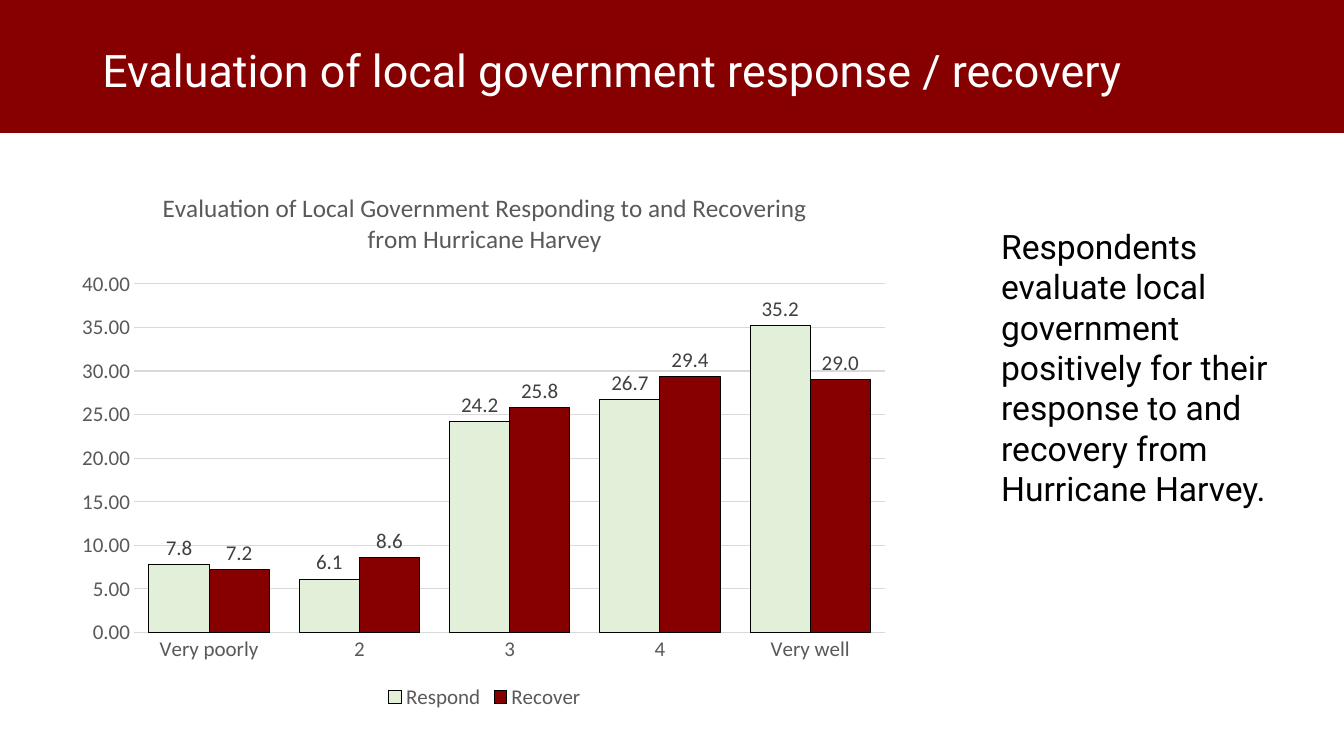
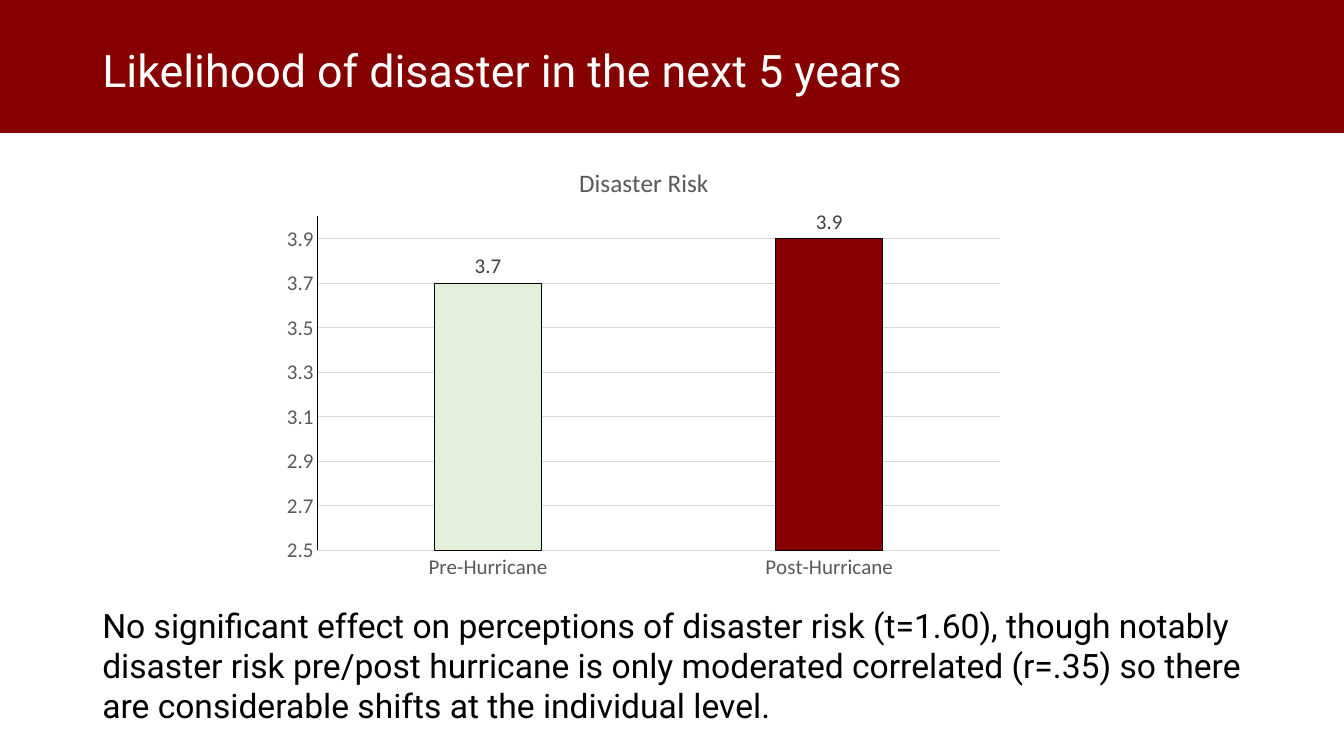
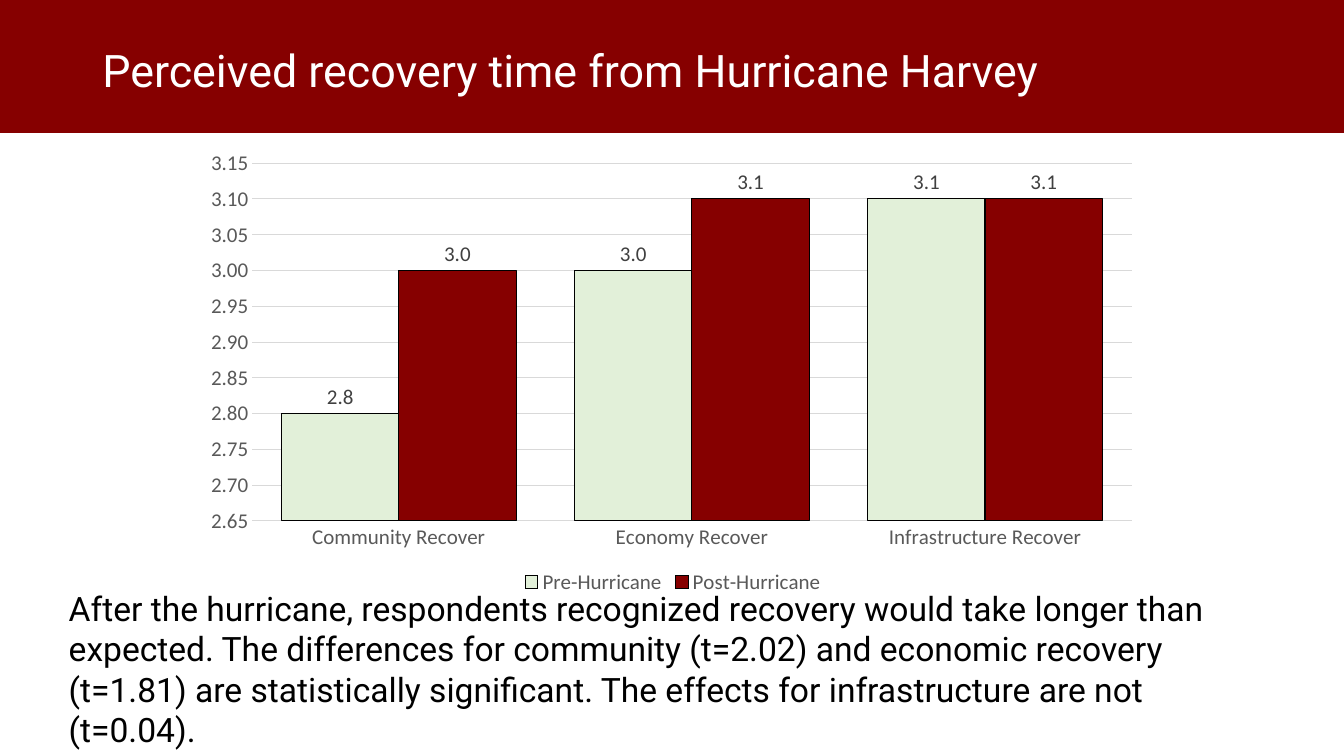
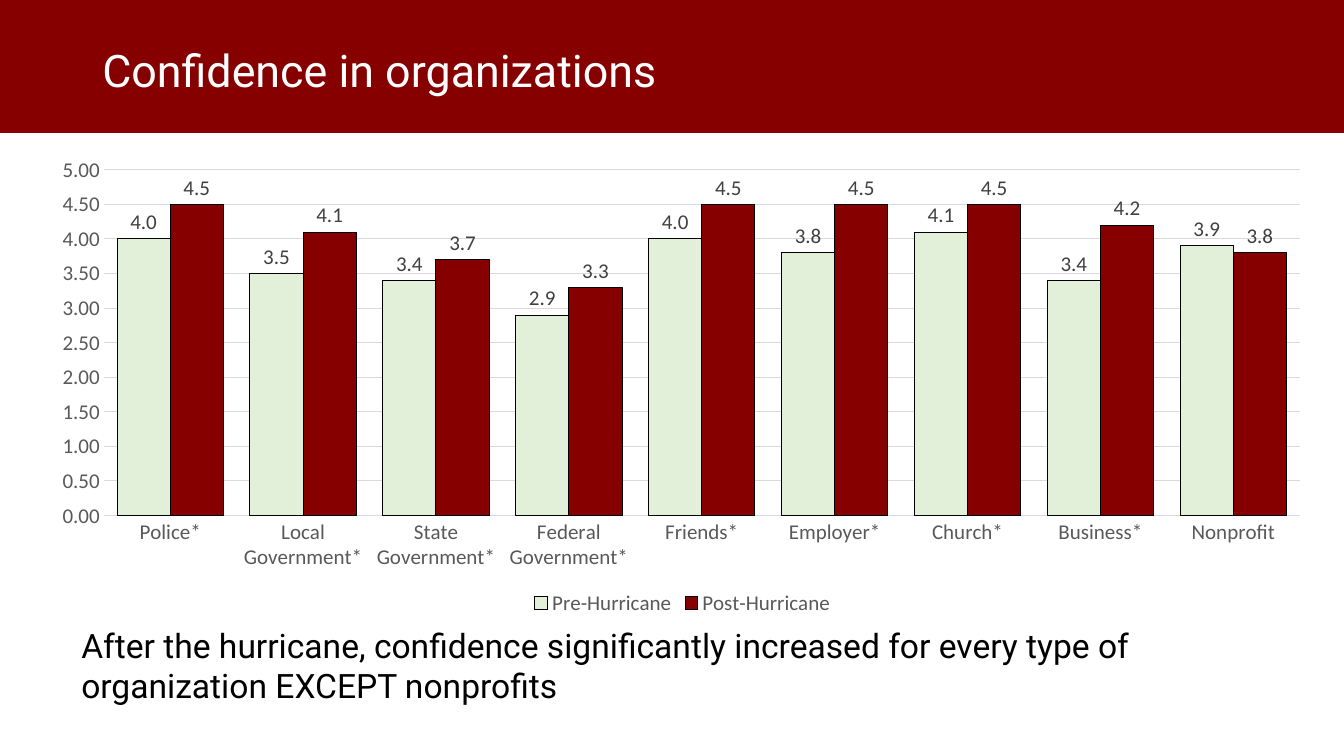
from dataclasses import dataclass
from typing import Any

from lxml.etree import SubElement
from pptx import Presentation
from pptx.chart.chart import Chart
from pptx.chart.data import CategoryChartData
from pptx.dml.color import RGBColor
from pptx.enum.chart import XL_CHART_TYPE, XL_LABEL_POSITION, XL_LEGEND_POSITION, XL_TICK_MARK
from pptx.enum.shapes import MSO_SHAPE
from pptx.enum.text import MSO_ANCHOR, MSO_AUTO_SIZE
from pptx.oxml.ns import qn
from pptx.slide import Slide
from pptx.util import Inches, Pt

COLUMNS, ROWS = 160, 90
CELL = Inches(7.5) / ROWS
MAROON, PALE_GREEN = "860000", "E2F0D9"
BLACK, WHITE = "000000", "FFFFFF"
AXIS_GREY, LABEL_GREY, GRID_GREY = "595959", "404040", "D9D9D9"
BEFORE, AFTER = "Pre-Hurricane", "Post-Hurricane"


@dataclass(frozen=True)
class Box:
    left: float
    top: float
    width: float
    height: float

    def lengths(self) -> list[int]:
        return [round(cells * CELL) for cells in (self.left, self.top, self.width, self.height)]


@dataclass(frozen=True)
class TextStyle:
    size: float
    color: str
    name: str


@dataclass(frozen=True)
class ColumnChart:
    box: Box
    plot: Box
    categories: list[str]
    series: dict[str, list[float]]
    scale: dict[str, float]
    axis_format: str = "0.00"
    title: str = ""
    gap: int = 50
    overlap: int = 0
    axis_line: str = ""


@dataclass(frozen=True)
class Page:
    title: str
    finding: str
    finding_box: Box
    chart: ColumnChart


TITLE_STYLE = TextStyle(32, WHITE, "Roboto")
FINDING_STYLE = TextStyle(24, BLACK, "Roboto")
CHART_TITLE_STYLE = TextStyle(18, AXIS_GREY, "Calibri")
AXIS_STYLE = TextStyle(15, AXIS_GREY, "Calibri")
LABEL_STYLE = TextStyle(15, LABEL_GREY, "Calibri")
BAND_BOX = Box(0, 0, COLUMNS, 15.7)
TITLE_BOX = Box(11, 0, 138, 17.4)

PAGES = [
    Page(
        "Evaluation of local government response / recovery",
        "Respondents evaluate local government positively for their response to and "
        "recovery from Hurricane Harvey.",
        Box(118, 26.3, 36.1, 40),
        ColumnChart(
            Box(8, 20.2, 99.4, 64.8),
            Box(0.08, 0.21, 0.9, 0.64),
            ["Very poorly", "2", "3", "4", "Very well"],
            {"Respond": [7.8, 6.1, 24.2, 26.7, 35.2], "Recover": [7.2, 8.6, 25.8, 29.4, 29.0]},
            {"minimum_scale": 0, "maximum_scale": 40, "major_unit": 5},
            title="Evaluation of Local Government Responding to and Recovering from Hurricane Harvey",
        ),
    ),
    Page(
        "Likelihood of disaster in the next 5 years",
        "No significant effect on perceptions of disaster risk (t=1.60), though notably "
        "disaster risk pre/post hurricane is only moderated correlated (r=.35) so there "
        "are considerable shifts at the individual level.",
        Box(11, 71.4, 138, 15.7),
        ColumnChart(
            Box(32.5, 17.4, 88.3, 52.3),
            Box(0.06, 0.16, 0.92, 0.76),
            [BEFORE, AFTER],
            {"Disaster Risk": [3.7, 3.9]},
            {"minimum_scale": 2.5, "maximum_scale": 4, "major_unit": 0.2},
            axis_format="0.0",
            title="Disaster Risk",
            gap=219,
            overlap=-27,
            axis_line=BLACK,
        ),
    ),
    Page(
        "Perceived recovery time from Hurricane Harvey",
        "After the hurricane, respondents recognized recovery would take longer than "
        "expected. The differences for community (t=2.02) and economic recovery (t=1.81) "
        "are statistically significant. The effects for infrastructure are not (t=0.04).",
        Box(7, 69.4, 146, 20.6),
        ColumnChart(
            Box(23.2, 16.7, 113.8, 54.6),
            Box(0.06, 0.05, 0.92, 0.78),
            ["Community Recover", "Economy Recover", "Infrastructure Recover"],
            {BEFORE: [2.8, 3.0, 3.1], AFTER: [3.0, 3.1, 3.1]},
            {"minimum_scale": 2.65, "maximum_scale": 3.15, "major_unit": 0.05},
            axis_format="#,##0.00",
        ),
    ),
    Page(
        "Confidence in organizations",
        "After the hurricane, confidence significantly increased for every type of "
        "organization EXCEPT nonprofits",
        Box(8.5, 73.8, 144.7, 10.9),
        ColumnChart(
            Box(4.7, 17.4, 153.1, 56.4),
            Box(0.05, 0.05, 0.93, 0.73),
            ["Police*", "Local Government*", "State Government*", "Federal Government*",
             "Friends*", "Employer*", "Church*", "Business*", "Nonprofit"],
            {
                BEFORE: [4.0, 3.5, 3.4, 2.9, 4.0, 3.8, 4.1, 3.4, 3.9],
                AFTER: [4.5, 4.1, 3.7, 3.3, 4.5, 4.5, 4.5, 4.2, 3.8],
            },
            {"minimum_scale": 0, "maximum_scale": 5, "major_unit": 0.5},
        ),
    ),
]


def color(value: str) -> RGBColor:
    return RGBColor.from_string(value)


def assign(target: Any, values: dict[str, Any]) -> None:
    for name, value in values.items():
        setattr(target, name, value)


def style_font(font: Any, style: TextStyle) -> None:
    assign(font, {"size": Pt(style.size), "name": style.name, "bold": False})
    font.color.rgb = color(style.color)


def style_fill(fill: Any, value: str) -> None:
    fill.solid()
    fill.fore_color.rgb = color(value)


def style_line(line: Any, value: str, width: float = 0.75) -> None:
    style_fill(line.fill, value)
    line.width = Pt(width)


def add_text(slide: Slide, box: Box, text: str, style: TextStyle,
             frame_format: dict[str, Any], line_spacing: float = 1.0) -> None:
    frame = slide.shapes.add_textbox(*box.lengths()).text_frame
    assign(frame, {"word_wrap": True} | frame_format)
    paragraph = frame.paragraphs[0]
    paragraph.line_spacing = line_spacing
    run = paragraph.add_run()
    run.text = text
    style_font(run.font, style)


def add_header(slide: Slide, title: str) -> None:
    band = slide.shapes.add_shape(MSO_SHAPE.RECTANGLE, *BAND_BOX.lengths())
    band.shadow.inherit = False
    style_fill(band.fill, MAROON)
    style_line(band.line, MAROON, 1)
    add_text(slide, TITLE_BOX, title, TITLE_STYLE, {"vertical_anchor": MSO_ANCHOR.MIDDLE}, 0.9)


def place_plot(chart: Chart, plot_box: Box) -> None:
    plot_area = chart.plots[0]._element.getparent()
    layout = plot_area.find(qn("c:layout"))
    if layout is None:
        layout = SubElement(plot_area, qn("c:layout"))
        plot_area.insert(0, layout)
    manual = SubElement(layout, qn("c:manualLayout"))
    settings = {
        "layoutTarget": "inner", "xMode": "edge", "yMode": "edge",
        "x": plot_box.left, "y": plot_box.top, "w": plot_box.width, "h": plot_box.height,
    }
    for name, value in settings.items():
        SubElement(manual, qn(f"c:{name}")).set("val", str(value))


def style_axes(chart: Chart, spec: ColumnChart) -> None:
    for axis in (chart.category_axis, chart.value_axis):
        assign(axis, {"major_tick_mark": XL_TICK_MARK.NONE, "minor_tick_mark": XL_TICK_MARK.NONE})
        style_font(axis.tick_labels.font, AXIS_STYLE)
    style_line(chart.category_axis.format.line, GRID_GREY)
    value_axis = chart.value_axis
    assign(value_axis, spec.scale)
    assign(value_axis.tick_labels,
           {"number_format": spec.axis_format, "number_format_is_linked": False})
    style_line(value_axis.major_gridlines.format.line, GRID_GREY)
    if spec.axis_line:
        style_line(value_axis.format.line, spec.axis_line)
    else:
        value_axis.format.line.fill.background()


def style_columns(chart: Chart, spec: ColumnChart) -> None:
    plot = chart.plots[0]
    assign(plot, {"gap_width": spec.gap, "overlap": spec.overlap,
                  "vary_by_categories": False, "has_data_labels": True})
    assign(plot.data_labels, {
        "show_value": True, "number_format": "#,##0.0", "number_format_is_linked": False,
        "position": XL_LABEL_POSITION.OUTSIDE_END,
    })
    style_font(plot.data_labels.font, LABEL_STYLE)
    groups = list(plot.series)
    columns = groups if len(groups) > 1 else [groups[0].points[index] for index in range(2)]
    for column, fill in zip(columns, (PALE_GREEN, MAROON)):
        style_fill(column.format.fill, fill)
        style_line(column.format.line, BLACK)


def add_column_chart(slide: Slide, spec: ColumnChart) -> None:
    data = CategoryChartData(number_format="0.0")
    data.categories = spec.categories
    for name, values in spec.series.items():
        data.add_series(name, values)
    chart = slide.shapes.add_chart(
        XL_CHART_TYPE.COLUMN_CLUSTERED, *spec.box.lengths(), data).chart
    style_font(chart.font, TextStyle(15, BLACK, "Calibri"))
    assign(chart, {"has_title": bool(spec.title), "has_legend": len(spec.series) > 1})
    if spec.title:
        run = chart.chart_title.text_frame.paragraphs[0].add_run()
        run.text = spec.title
        style_font(run.font, CHART_TITLE_STYLE)
    if chart.has_legend:
        assign(chart.legend, {"position": XL_LEGEND_POSITION.BOTTOM, "include_in_layout": False})
        style_font(chart.legend.font, AXIS_STYLE)
    style_axes(chart, spec)
    style_columns(chart, spec)
    place_plot(chart, spec.plot)


def main() -> None:
    presentation = Presentation()
    assign(presentation, {"slide_width": round(COLUMNS * CELL), "slide_height": round(ROWS * CELL)})
    for page in PAGES:
        slide = presentation.slides.add_slide(presentation.slide_layouts[6])
        add_header(slide, page.title)
        add_column_chart(slide, page.chart)
        add_text(slide, page.finding_box, page.finding, FINDING_STYLE,
                 {"auto_size": MSO_AUTO_SIZE.SHAPE_TO_FIT_TEXT})
    presentation.save("out.pptx")


if __name__ == "__main__":
    main()
